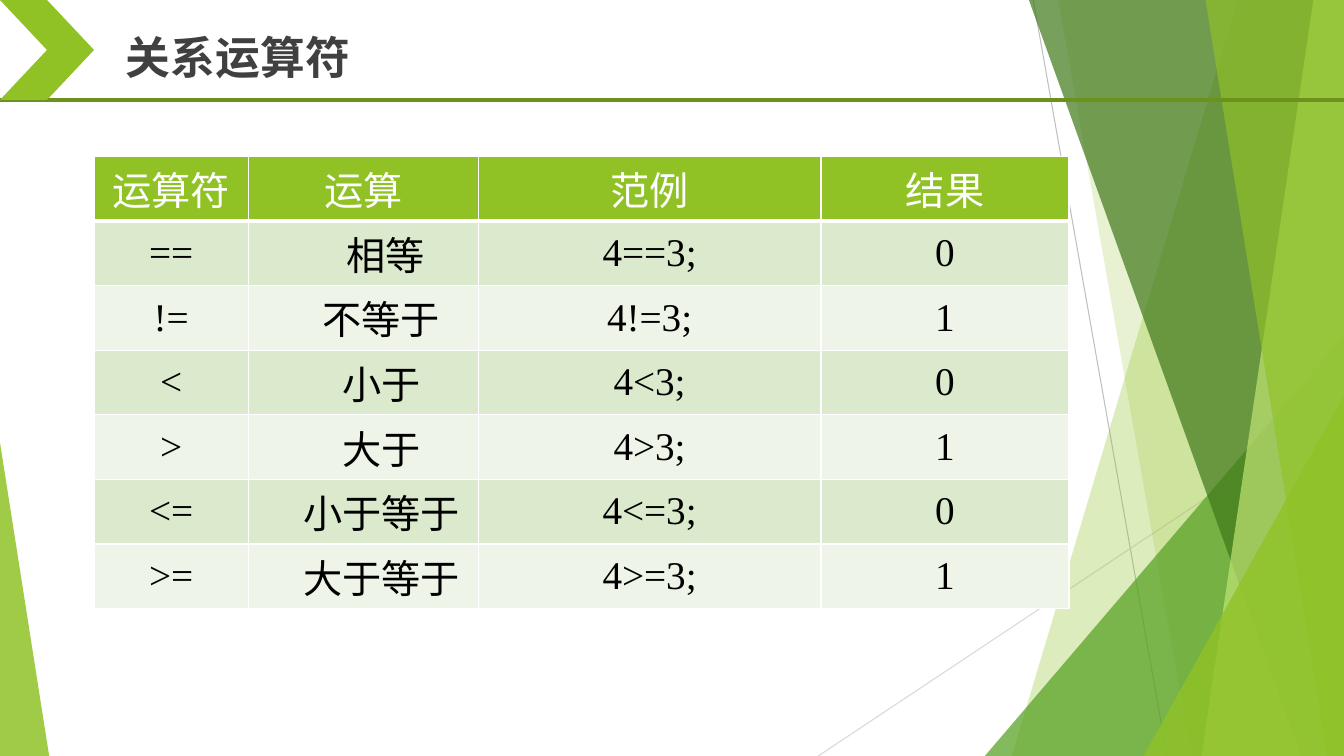
from lxml import etree
from pptx import Presentation
from pptx.dml.color import RGBColor
from pptx.enum.shapes import MSO_CONNECTOR, MSO_SHAPE
from pptx.enum.text import MSO_ANCHOR, MSO_AUTO_SIZE, PP_ALIGN
from pptx.oxml.ns import qn
from pptx.util import Cm, Pt

LINE = MSO_CONNECTOR.STRAIGHT
CHEVRON, TRIANGLE = MSO_SHAPE.CHEVRON, MSO_SHAPE.ISOSCELES_TRIANGLE
MIDDLE, GROW = MSO_ANCHOR.MIDDLE, MSO_AUTO_SIZE.SHAPE_TO_FIT_TEXT
CENTER, LEFT = PP_ALIGN.CENTER, PP_ALIGN.LEFT
SANS, SERIF = "Noto Sans CJK SC", "Times New Roman"
WIDE, HIGH = 33.87, 19.05
COLORS = {
    "lime": "90C226", "leaf": "54A021", "moss": "3F7819", "pale": "C0E474",
    "olive": "6C921D", "gray": "BFBFBF", "mist": "D9D9D9", "title": "404040",
    "white": "FFFFFF", "black": "000000", "odd": "DBE9CD", "even": "EEF4E8",
}
HEAD = ("运算符", "运算", "范例", "结果")
ROWS = (
    ("==", "相等", "4==3;", "0"),
    ("!=", "不等于", "4!=3;", "1"),
    ("<", "小于", "4<3;", "0"),
    (">", "大于", "4>3;", "1"),
    ("<=", "小于等于", "4<=3;", "0"),
    (">=", "大于等于", "4>=3;", "1"),
)


def rgb(name):
    """Return the named colour."""
    return RGBColor.from_string(COLORS[name])


def paint(shape, color, alpha=100):
    """Fill a shape without outline or shadow, at alpha percent."""
    shape.shadow.inherit = False
    shape.line.fill.background()
    shape.fill.solid()
    shape.fill.fore_color.rgb = rgb(color)
    if alpha < 100:
        tone = shape.fill._xPr.find(".//" + qn("a:srgbClr"))
        etree.SubElement(tone, qn("a:alpha"), val=str(alpha * 1000))


def rule(slide, start, end, color, width):
    """Draw a straight line between two points."""
    line = slide.shapes.add_connector(LINE, *map(Cm, start + end))
    line.line.color.rgb = rgb(color)
    line.line.width = Pt(width)
    etree.SubElement(line._element.spPr, qn("a:effectLst"))


def style(para, face, size, color, bold, align):
    """Set the font and alignment of a paragraph."""
    para.alignment = align
    font = para.font
    font.name, font.size, font.bold = face, Pt(size), bold
    font.color.rgb = rgb(color)
    east = etree.Element(qn("a:ea"), typeface=SANS)
    font._element.find(qn("a:latin")).addnext(east)


def band(slide, box, top, foot, color, alpha):
    """Fill the box to the right of a slanted edge."""
    x, y, w, h = box
    form = slide.shapes.build_freeform(Cm(x + top), Cm(y))
    form.add_line_segments([
        (Cm(x + w), Cm(y)), (Cm(x + w), Cm(y + h)), (Cm(x + foot), Cm(y + h))])
    paint(form.convert_to_shape(), color, alpha)


def wedge(slide, box, w, h, peak, color, alpha):
    """Place a right triangle in a lower corner, with its peak at that side."""
    x, y, wide, high = box
    shape = slide.shapes.add_shape(
        TRIANGLE, Cm(x + peak * (wide - w)), Cm(y + high - h), Cm(w), Cm(h))
    shape.adjustments[0] = peak
    paint(shape, color, alpha)


def facets(slide, box):
    """Draw the green facets along the sides of the box."""
    x, y, w, h = box
    rule(slide, (x + 26.04, y), (x + 29.41, y + h), "gray", 0.75)
    rule(slide, (x + w, y + 10.24), (x + 20.62, y + h), "mist", 0.75)
    band(slide, box, 31.19, 25.5, "lime", 30)
    band(slide, box, 26.67, 30.02, "lime", 20)
    wedge(slide, box, 9.05, 10.59, 1, "leaf", 72)
    band(slide, box, 25.93, 32.79, "moss", 70)
    band(slide, box, 33.1, 30.28, "pale", 70)
    band(slide, box, 30.38, 33.45, "lime", 65)
    wedge(slide, box, 5.05, 9.07, 1, "lime", 80)
    wedge(slide, box, 1.24, 7.9, 0, "lime", 85)


def header(slide, box, text):
    """Place the rule, the chevron and the title."""
    x, y, w, h = box
    rule(slide, (x, y + h), (x + w, y + h), "olive", 2.25)
    mark = slide.shapes.add_shape(CHEVRON, Cm(x), Cm(y), Cm(2.37), Cm(h))
    paint(mark, "lime")
    title = slide.shapes.title
    title.left, title.top = Cm(x + 2.92), Cm(y + 0.61)
    title.width, title.height = Cm(11), Cm(1.63)
    frame = title.text_frame
    frame.text = text
    frame.word_wrap, frame.auto_size = True, GROW
    frame.vertical_anchor = MIDDLE
    style(frame.paragraphs[0], SANS, 32, "title", True, LEFT)


def edge(cell, low):
    """Give a cell white borders, with the lower one low points wide."""
    props = cell._tc.get_or_add_tcPr()
    sides = (("a:lnL", 1), ("a:lnR", 1), ("a:lnT", 1), ("a:lnB", low))
    for spot, (side, width) in enumerate(sides):
        line = etree.Element(qn(side), w=str(Pt(width)))
        fill = etree.SubElement(line, qn("a:solidFill"))
        etree.SubElement(fill, qn("a:srgbClr"), val=COLORS["white"])
        props.insert(spot, line)


def grid(slide, box, cols):
    """Build the table of operators in the box."""
    x, y, w, h = box
    data = (HEAD,) + ROWS
    table = slide.shapes.add_table(
        len(data), len(cols), Cm(x), Cm(y), Cm(w), Cm(h)).table
    for col, width in zip(table.columns, cols):
        col.width = Cm(width)
    for r, row in enumerate(data):
        table.rows[r].height = Cm(h / len(data))
        for c, text in enumerate(row):
            cell = table.cell(r, c)
            cell.text = text
            cell.vertical_anchor = MIDDLE
            cell.margin_left = cell.margin_right = Cm(0.18)
            cell.margin_top = cell.margin_bottom = 0
            cell.fill.solid()
            tone = ("even", "odd")[r % 2] if r else "lime"
            cell.fill.fore_color.rgb = rgb(tone)
            para = cell.text_frame.paragraphs[0]
            style(para, SERIF, 28, "black" if r else "white", False, CENTER)
            if r and c == 1:
                indent = 1.12 if r == 1 else 0.91
                para._p.get_or_add_pPr().set("indent", str(Cm(indent)))
            edge(cell, 1 if r else 3)


def main():
    """Build and save the slide."""
    deck = Presentation()
    deck.slide_width, deck.slide_height = Cm(WIDE), Cm(HIGH)
    slide = deck.slides.add_slide(deck.slide_layouts[5])
    facets(slide, (0, 0, WIDE, HIGH))
    header(slide, (0, 0, WIDE, 2.52), "关系运算符")
    grid(slide, (2.37, 3.94, 24.57, 11.4), (3.89, 5.79, 8.64, 6.25))
    deck.save("out.pptx")


if __name__ == "__main__":
    main()
